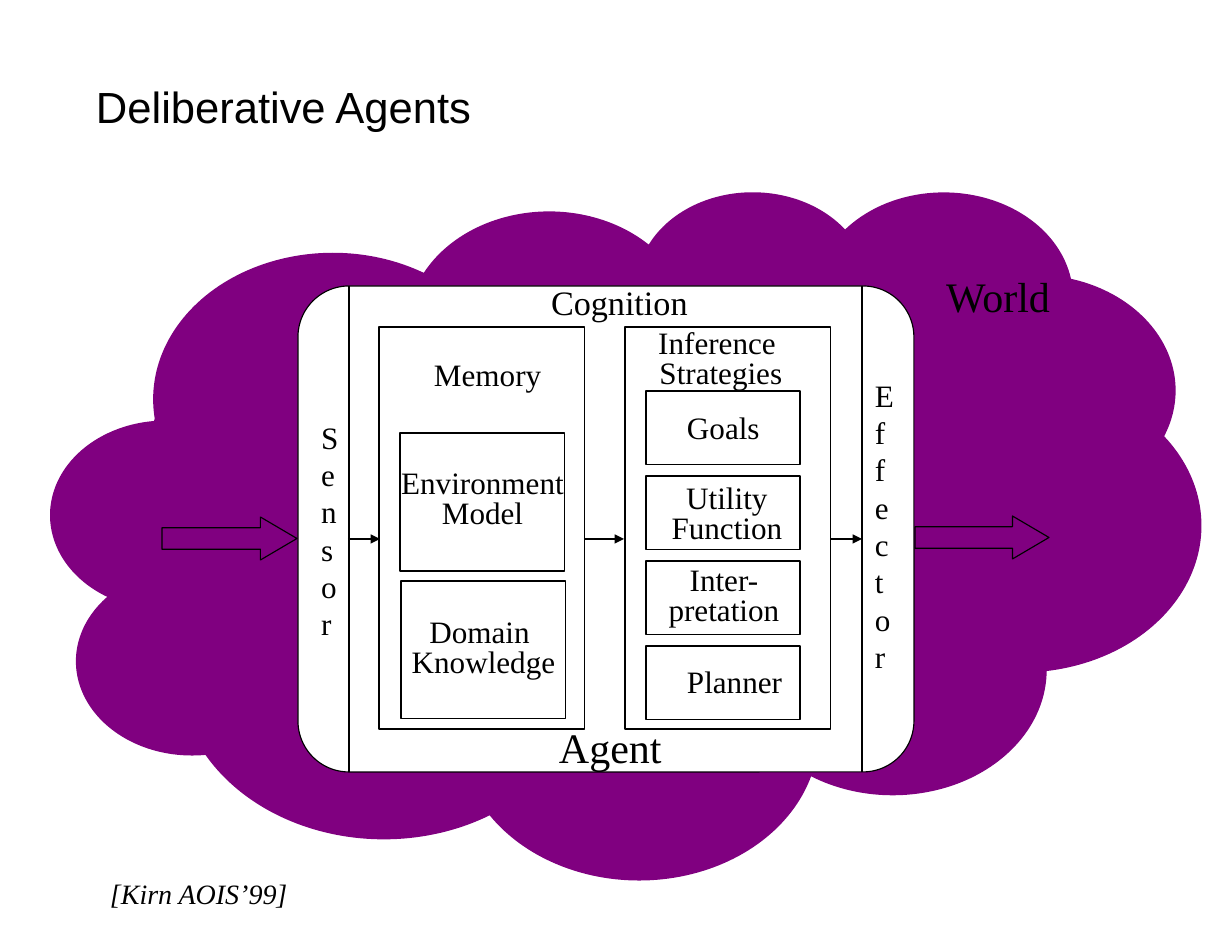
import pptx
import pptx.util
import pptx.dml.color
import pptx.enum.shapes
import pptx.enum.text
import pptx.oxml
import pptx.oxml.ns

EMU_PER_PX = 914400 / 112
SHAPES = pptx.enum.shapes.MSO_SHAPE
ALIGN = pptx.enum.text.PP_ALIGN
BLACK, WHITE, PURPLE = "000000", "FFFFFF", "800080"
SERIF = "Times New Roman"

TITLE = ("Deliberative Agents", (86, 74, 479, 64))
CLOUD = (51, 190, 1150, 688)
AGENT = (298, 286, 616, 486)
BLOCK_ARROWS = [(162, 517, 135, 43), (915, 516, 134, 43)]
DIVIDERS = [349, 862]
PANELS = [(379, 327, 206, 402), (625, 327, 206, 402)]
MODEL_BOXES = [(400 + row, 433 + 148 * row, 165, 138) for row in range(2)]
STRATEGY_BOXES = [(646, 391 + 85 * row, 154, 74) for row in range(4)]
FLOW_ARROWS = [(348, 380), (584, 624), (831, 862)]
FLOW_Y = 539

LABELS = [
    (["World"], (936, 264, 128, 63), 27),
    (["Agent"], (549, 715, 124, 63), 27),
    (["Cognition"], (541, 275, 158, 54), 22),
    (list("Sensor"), (311, 412, 40, 236), 20),
    (list("Effector"), (865, 370, 41, 311), 20),
    (["Memory"], (424, 349, 129, 50), 20),
    (["Goals"], (677, 402, 95, 49), 20),
    (["Planner"], (677, 656, 118, 49), 20),
]
CENTERED_LABELS = [
    (["Environment", "Model"], (389, 465, 187, 72), [0.8, 0.8]),
    (["Domain ", "Knowledge"], (400, 614, 167, 72), [0.8, 0.8]),
    (["Utility", "Function"], (659, 480, 136, 73), [0.8, 0.8]),
    (["Inter-", "pretation"], (656, 562, 136, 73), [0.8, 0.8]),
    (["Inference ", "Strategies"], (646, 317, 150, 80), [1.0, 0.8]),
]
CITATION = (["[Kirn AOIS’99]"], (100, 871, 200, 46), 18)


def px(length):
    return pptx.util.Emu(round(length * EMU_PER_PX))


def color(value):
    return pptx.dml.color.RGBColor.from_string(value)


def set_line(line):
    line.color.rgb = color(BLACK)
    line.width = pptx.util.Pt(0.75)


def add_shape(slide, kind, box, fill=None, outlined=True, adjustments=()):
    shape = slide.shapes.add_shape(kind, *map(px, box))
    shape.shadow.inherit = False
    for index, value in enumerate(adjustments):
        shape.adjustments[index] = value
    if fill:
        shape.fill.solid()
        shape.fill.fore_color.rgb = color(fill)
    else:
        shape.fill.background()
    if outlined:
        set_line(shape.line)
    else:
        shape.line.fill.background()


def add_line(slide, start, end, arrow=False):
    connector = slide.shapes.add_connector(
        pptx.enum.shapes.MSO_CONNECTOR.STRAIGHT, *map(px, start + end))
    set_line(connector.line)
    if arrow:
        line_element = connector.line._get_or_add_ln()
        line_element.append(pptx.oxml.parse_xml(
            f'<a:tailEnd {pptx.oxml.ns.nsdecls("a")} type="triangle"/>'))
    connector._element.spPr.append(pptx.oxml.parse_xml(
        f'<a:effectLst {pptx.oxml.ns.nsdecls("a")}/>'))


def format_frame(frame, wrap):
    frame.word_wrap = wrap
    frame.auto_size = pptx.enum.text.MSO_AUTO_SIZE.SHAPE_TO_FIT_TEXT
    frame.vertical_anchor = pptx.enum.text.MSO_ANCHOR.TOP
    frame.margin_left = frame.margin_right = px(10)
    frame.margin_top = frame.margin_bottom = px(6)


def add_run(paragraph, text, size, font=SERIF, italic=False):
    run = paragraph.add_run()
    run.text = text
    run.font.size = pptx.util.Pt(size)
    run.font.name = font
    run.font.italic = italic
    run.font.color.rgb = color(BLACK)


def add_label(slide, lines, box, size, spacings=None, align=ALIGN.LEFT, italic=False):
    frame = slide.shapes.add_textbox(*map(px, box)).text_frame
    format_frame(frame, False)
    for index, text in enumerate(lines):
        paragraph = frame.add_paragraph() if index else frame.paragraphs[0]
        paragraph.alignment = align
        if spacings:
            paragraph.line_spacing = spacings[index]
        add_run(paragraph, text, size, italic=italic)


def add_title(slide, text, box):
    title = slide.shapes.title
    title.left, title.top, title.width, title.height = map(px, box)
    format_frame(title.text_frame, True)
    paragraph = title.text_frame.paragraphs[0]
    paragraph.alignment = ALIGN.LEFT
    add_run(paragraph, text, 28, "Arial")


def main():
    presentation = pptx.Presentation()
    presentation.slide_width = px(11 * 112)
    presentation.slide_height = px(8.5 * 112)
    slide = presentation.slides.add_slide(presentation.slide_layouts[5])

    add_title(slide, *TITLE)
    add_shape(slide, SHAPES.CLOUD_CALLOUT, CLOUD, PURPLE, False, (0, 0.13))
    add_shape(slide, SHAPES.ROUNDED_RECTANGLE, AGENT, WHITE, adjustments=(0.105,))
    for box in BLOCK_ARROWS:
        add_shape(slide, SHAPES.RIGHT_ARROW, box, adjustments=(0.5, 0.85))
    for x in DIVIDERS:
        add_line(slide, (x, AGENT[1]), (x, AGENT[1] + AGENT[3]))
    for box in PANELS + MODEL_BOXES + STRATEGY_BOXES:
        add_shape(slide, SHAPES.RECTANGLE, box)
    for start, end in FLOW_ARROWS:
        add_line(slide, (start, FLOW_Y), (end, FLOW_Y), arrow=True)
    for label in LABELS:
        add_label(slide, *label)
    for lines, box, spacings in CENTERED_LABELS:
        add_label(slide, lines, box, 20, spacings, ALIGN.CENTER)
    add_label(slide, *CITATION, italic=True)

    presentation.save("out.pptx")


if __name__ == "__main__":
    main()
